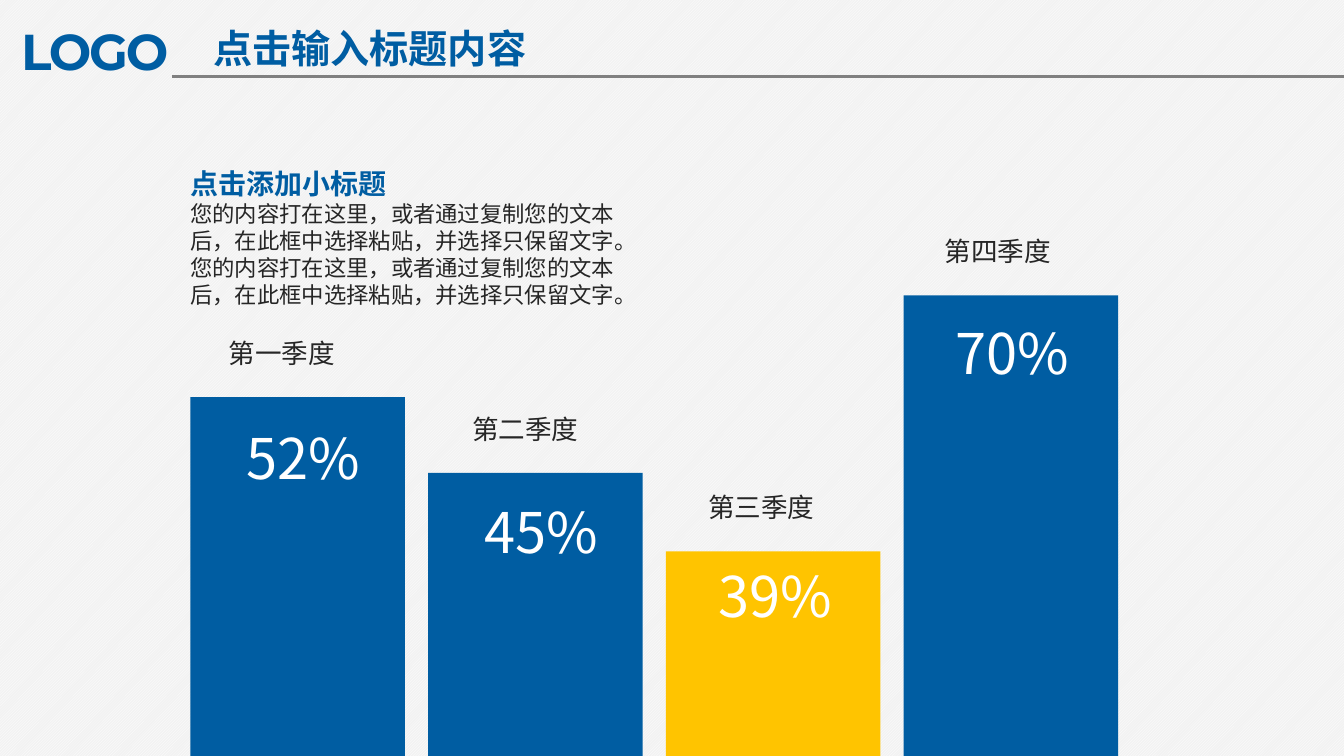
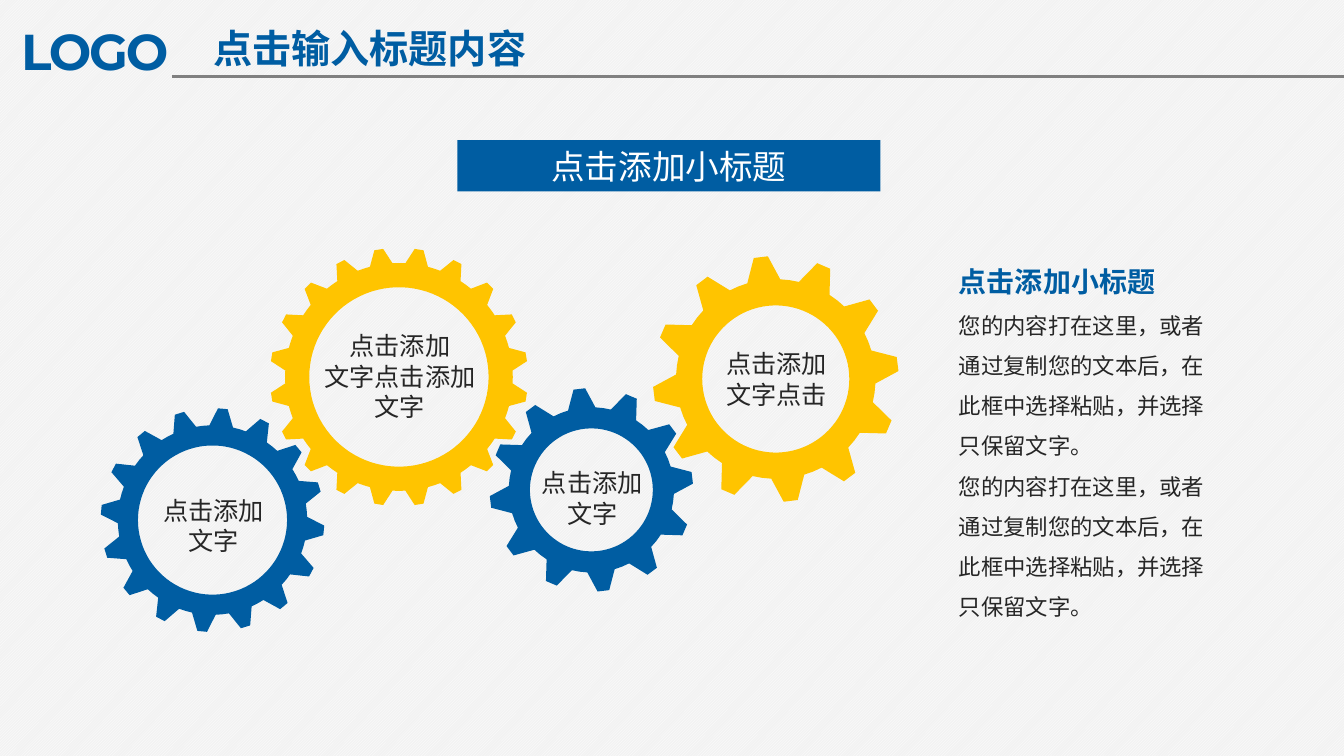
from dataclasses import dataclass
from math import cos, radians, sin

from lxml.etree import SubElement
from pptx import Presentation
from pptx.dml.color import RGBColor
from pptx.enum.dml import MSO_PATTERN
from pptx.enum.shapes import MSO_CONNECTOR, MSO_SHAPE
from pptx.enum.text import MSO_ANCHOR, PP_ALIGN
from pptx.oxml.ns import qn
from pptx.util import Inches, Pt

WIDTH, HEIGHT = 13.34, 7.5
BLUE, YELLOW, INK, WHITE = "005DA2", "FFC400", "262626", "FFFFFF"
GREY, PAPER = "808080", "F2F2F2"
BODY_FONT, LOGO_FONT = "Noto Sans CJK SC", "Montserrat"
SUBTITLE = "点击添加小标题"
BODY = "您的内容打在这里，或者通过复制您的文本后，在此框中选择粘贴，并选择只保留文字。"
CENTER = PP_ALIGN.CENTER


@dataclass
class Line:
    """One paragraph with its style."""
    text: str
    size: float
    color: str = INK
    bold: bool = False
    spacing: float = 1.0
    font: str = BODY_FONT
    tracking: float = 0


@dataclass
class Quarter:
    """One bar with the places of its label and share."""
    name: str
    share: str
    top: float
    color: str
    name_dx: float
    share_dx: float
    share_dy: float


@dataclass
class Gear:
    """One toothed ring with its text."""
    center: tuple
    outer: float
    root: float
    hole: float
    teeth: int
    phase: float
    color: str
    words: list
    words_dy: float


QUARTERS = [
    Quarter("第一季度", "52%", 3.94, BLUE, 0.3, 0.44, 0.21),
    Quarter("第二季度", "45%", 4.69, BLUE, 0.36, 0.44, 0.2),
    Quarter("第三季度", "39%", 5.47, YELLOW, 0.34, 0.41, 0.05),
    Quarter("第四季度", "70%", 2.93, BLUE, 0.33, 0.4, 0.18),
]
GEARS = [
    Gear((3.96, 3.74), 1.28, 1.13, 0.89, 20, 9, YELLOW,
         ["点击添加", "文字点击添加", "文字"], -0.01),
    Gear((5.87, 4.86), 1.01, 0.82, 0.61, 12, 6.8, BLUE, ["点击添加", "文字"], 0.08),
    Gear((2.11, 5.16), 1.11, 0.94, 0.74, 16, -5.3, BLUE, ["点击添加", "文字"], 0.05),
    Gear((7.7, 3.76), 1.22, 0.99, 0.73, 12, 7, YELLOW, ["点击添加", "文字点击"], 0),
]


def rgb(value):
    """Turn a hex string into a colour."""
    return RGBColor.from_string(value)


def write(frame, lines, align=PP_ALIGN.LEFT, anchor=MSO_ANCHOR.TOP, insets=(0.1, 0.05)):
    """Fill a text frame with styled lines."""
    frame.word_wrap = True
    frame.vertical_anchor = anchor
    frame.margin_left = frame.margin_right = Inches(insets[0])
    frame.margin_top = frame.margin_bottom = Inches(insets[1])
    for index, line in enumerate(lines):
        paragraph = frame.paragraphs[0] if index == 0 else frame.add_paragraph()
        paragraph.alignment = align
        paragraph.line_spacing = line.spacing
        run = paragraph.add_run()
        run.text = line.text
        run.font.size = Pt(line.size)
        run.font.bold = line.bold
        run.font.color.rgb = rgb(line.color)
        run.font.name = line.font
        properties = run.font._element
        SubElement(properties, qn("a:ea")).set("typeface", line.font)
        if line.tracking:
            properties.set("spc", str(round(line.tracking * 100)))


def add_text(slide, box, lines, **layout):
    """Add a text box holding styled lines."""
    frame = slide.shapes.add_textbox(*map(Inches, box)).text_frame
    write(frame, lines, **layout)


def paint(shape, color):
    """Give a shape a flat fill without line or shadow."""
    shape.shadow.inherit = False
    shape.fill.solid()
    shape.fill.fore_color.rgb = rgb(color)
    shape.line.fill.background()


def add_block(slide, box, color):
    """Add a flat rectangle."""
    block = slide.shapes.add_shape(MSO_SHAPE.RECTANGLE, *map(Inches, box))
    paint(block, color)
    return block


def polar(center, radius, degrees):
    """Give the point at an angle on a circle."""
    angle = radians(degrees)
    return (Inches(center[0] + radius * cos(angle)),
            Inches(center[1] - radius * sin(angle)))


def add_gear(slide, gear):
    """Draw a toothed ring and the words inside it."""
    pitch = 360 / gear.teeth
    profile = [(-0.32, gear.root), (-0.11, gear.outer), (0.11, gear.outer),
               (0.32, gear.root), (0.5, gear.root)]
    rim = [polar(gear.center, radius, gear.phase + (tooth + offset) * pitch)
           for tooth in range(gear.teeth) for offset, radius in profile]
    hole = [polar(gear.center, gear.hole, -degrees) for degrees in range(0, 360, 4)]
    outline = slide.shapes.build_freeform(*rim[0])
    outline.add_line_segments(rim[1:])
    outline.move_to(*hole[0])
    outline.add_line_segments(hole[1:])
    paint(outline.convert_to_shape(), gear.color)
    x, y = gear.center
    add_text(slide, (x - 0.86, y + gear.words_dy - 0.5, 1.74, 1),
             [Line(word, 18) for word in gear.words],
             align=CENTER, anchor=MSO_ANCHOR.MIDDLE)


def add_page(deck, title):
    """Add a slide with the logo word, header rule and title."""
    slide = deck.slides.add_slide(deck.slide_layouts[6])
    add_text(slide, (0.08, 0.13, 1.86, 0.74),
             [Line("LOGO", 36, BLUE, True, font=LOGO_FONT, tracking=-1.5)],
             insets=(0.13, 0.07))
    rule = slide.shapes.add_connector(
        MSO_CONNECTOR.STRAIGHT, *map(Inches, (1.71, 0.76, WIDTH, 0.76)))
    rule.line.color.rgb = rgb(GREY)
    rule.line.width = Pt(2)
    SubElement(rule._element.spPr, qn("a:effectLst"))
    add_text(slide, (1.87, 0.19, 3.6, 0.57), [Line(title, 28, BLUE, True)], align=CENTER)
    return slide


def add_article(slide, box, heading_spacing, body_spacing):
    """Add a small heading over two body paragraphs."""
    heading = Line(SUBTITLE, 20, BLUE, True, heading_spacing)
    add_text(slide, box, [heading] + [Line(BODY, 16, spacing=body_spacing)] * 2)


def add_quarter(slide, index, quarter):
    """Draw one bar with its label and share."""
    left = 1.89 + index * 2.36
    add_block(slide, (left, quarter.top, 2.13, HEIGHT - quarter.top), quarter.color)
    add_text(slide, (left + quarter.share_dx - 0.1, quarter.top + quarter.share_dy, 1.56, 0.77),
             [Line(quarter.share, 40, WHITE)], align=CENTER)
    add_text(slide, (left + quarter.name_dx, quarter.top - 0.6, 1.54, 0.44),
             [Line(quarter.name, 19, spacing=0.9)], insets=(0.08, 0.04))


def main():
    """Build and save the deck."""
    deck = Presentation()
    deck.slide_width, deck.slide_height = Inches(WIDTH), Inches(HEIGHT)
    backdrop = deck.slide_master.background.fill
    backdrop.patterned()
    backdrop.pattern = MSO_PATTERN.LIGHT_UPWARD_DIAGONAL
    backdrop.fore_color.rgb = rgb(WHITE)
    backdrop.back_color.rgb = rgb(PAPER)

    title = "点击输入标题内容"
    quarters_page = add_page(deck, title)
    for index, quarter in enumerate(QUARTERS):
        add_quarter(quarters_page, index, quarter)
    add_article(quarters_page, (1.79, 1.27, 4.62, 1.85), 2.0, 1.0)

    gears_page = add_page(deck, title)
    for gear in GEARS:
        add_gear(gears_page, gear)
    add_article(gears_page, (9.42, 2.41, 2.83, 3.84), 1.5, 1.5)
    banner = add_block(gears_page, (4.54, 1.39, 4.2, 0.51), BLUE)
    write(banner.text_frame, [Line(SUBTITLE, 24, WHITE)],
          align=CENTER, anchor=MSO_ANCHOR.MIDDLE)

    deck.save("out.pptx")


if __name__ == "__main__":
    main()
